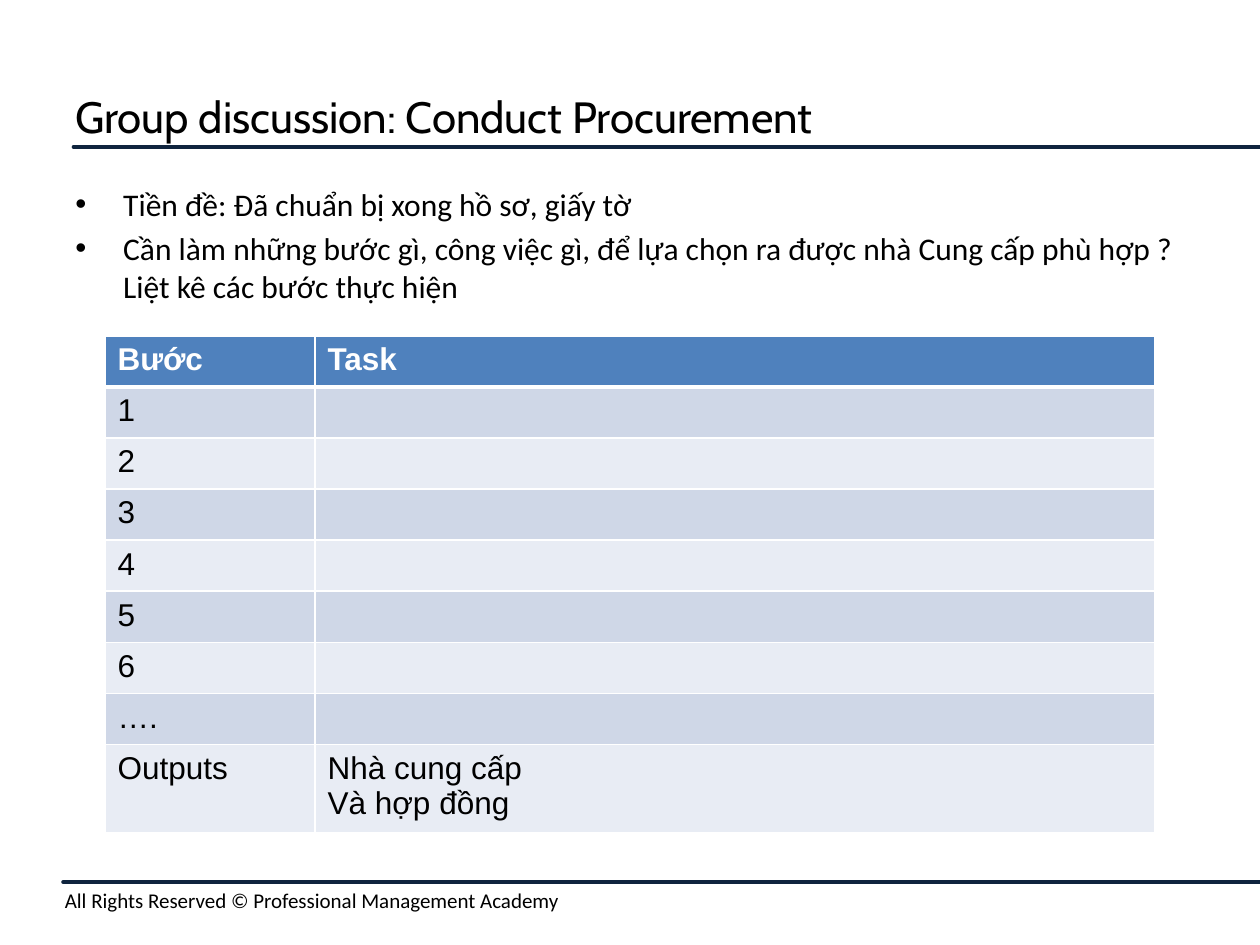
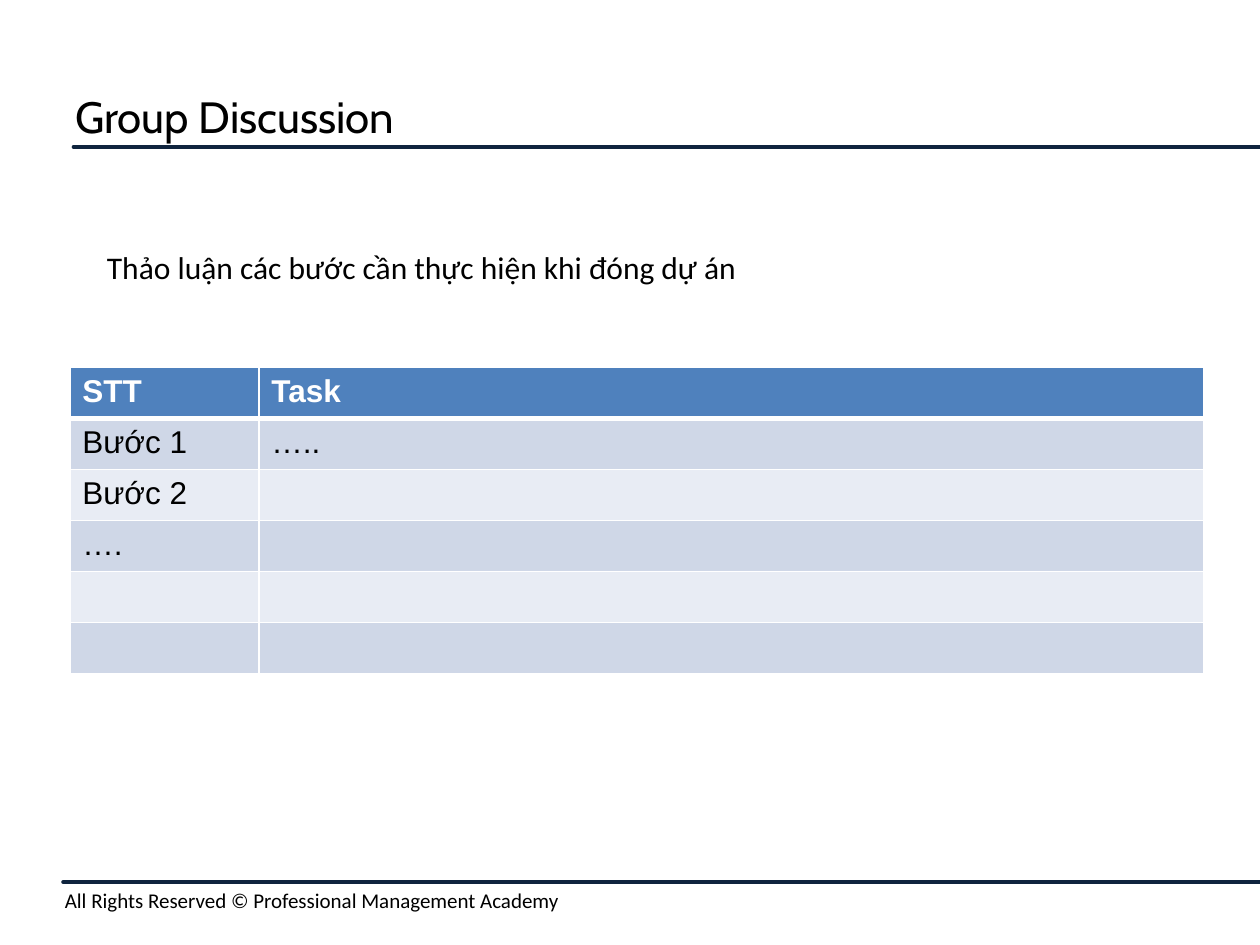
from dataclasses import dataclass

from lxml import etree
from pptx import Presentation
from pptx import util as u
from pptx.dml.color import RGBColor
from pptx.enum import shapes, text
from pptx.oxml.ns import qn

COLORS = {
    "ink": "000000",
    "rule": "0F243E",
    "paper": "FFFFFF",
    "header": "4F81BD",
    "odd_row": "CFD7E7",
    "even_row": "E8ECF4",
}
WIDTH, HEIGHT = u.Inches(10), u.Inches(7.5)
GRID_COLUMNS, GRID_ROWS = 120, 90
STEP_HEIGHT = int(HEIGHT / 18.5)
HANGING = u.Inches(0.38)
FOOTER = "All Rights Reserved © Professional Management Academy"


@dataclass(frozen=True)
class Area:
    column: float
    row: float
    columns: float
    rows: float


@dataclass(frozen=True)
class Style:
    font: str
    size: float
    color: str = "ink"
    bold: bool = False


@dataclass(frozen=True)
class Note:
    area: Area
    lines: tuple[str, ...]
    style: Style
    bulleted: bool = False
    anchor: text.MSO_ANCHOR = text.MSO_ANCHOR.TOP


@dataclass(frozen=True)
class StepTable:
    column: float
    row: float
    widths: tuple[int, int]
    steps: tuple[tuple[str, str], ...]


@dataclass(frozen=True)
class Discussion:
    title: str
    prompt: Note
    table: StepTable


TITLE = Style("Cabin", 25)
BODY = Style("Calibri", 18)
SMALL = Style("Calibri", 12)
HEAD_CELL = Style("Arial", 18, "paper", True)
STEP_CELL = Style("Arial", 18)
TITLE_AREA = Area(6, 6, 108, 10)
FOOTER_AREA = Area(5, 83.9, 115, 3.6)
RULES = ((7, 14), (6, 84))

DISCUSSIONS = (
    Discussion(
        "Group discussion: Conduct Procurement",
        Note(
            Area(6, 17, 108, 14),
            (
                "Tiền đề: Đã chuẩn bị xong hồ sơ, giấy tờ",
                "Cần làm những bước gì, công việc gì, để lựa chọn ra được nhà "
                "Cung cấp phù hợp ? Liệt kê các bước thực hiện",
            ),
            BODY,
            bulleted=True,
        ),
        StepTable(
            10, 32, (20, 80),
            (
                ("Bước", "Task"),
                *((str(number), "") for number in range(1, 7)),
                ("….", ""),
                ("Outputs", "Nhà cung cấp\nVà hợp đồng"),
            ),
        ),
    ),
    Discussion(
        "Group Discussion",
        Note(
            Area(9, 23, 70, 4.8),
            ("Thảo luận các bước cần thực hiện khi đóng dự án",),
            BODY,
        ),
        StepTable(
            6.65, 35, (18, 90),
            (
                ("STT", "Task"),
                ("Bước 1", "….."),
                ("Bước 2", ""),
                ("….", ""),
                ("", ""),
                ("", ""),
            ),
        ),
    ),
)


def across(columns: float) -> int:
    return int(WIDTH * columns / GRID_COLUMNS)


def down(rows: float) -> int:
    return int(HEIGHT * rows / GRID_ROWS)


def rgb(name: str) -> RGBColor:
    return RGBColor.from_string(COLORS[name])


def add_run(paragraph, words: str, style: Style) -> None:
    run = paragraph.add_run()
    run.text = words
    run.font.name = style.font
    run.font.size = u.Pt(style.size)
    run.font.bold = style.bold
    run.font.color.rgb = rgb(style.color)


def add_bullet(paragraph) -> None:
    properties = paragraph._p.get_or_add_pPr()
    properties.set("marL", str(HANGING))
    properties.set("indent", str(-HANGING))
    etree.SubElement(properties, qn("a:buFont"), typeface="Arial")
    etree.SubElement(properties, qn("a:buChar"), char="•")


def write_lines(frame, lines: tuple[str, ...], style: Style, bulleted: bool = False) -> None:
    for index, line in enumerate(lines):
        paragraph = frame.add_paragraph() if index else frame.paragraphs[0]
        if bulleted:
            add_bullet(paragraph)
            if index:
                paragraph.space_before = u.Pt(3.6)
        if line:
            add_run(paragraph, line, style)


def draw_note(slide, note: Note) -> None:
    area = note.area
    frame = slide.shapes.add_textbox(
        across(area.column), down(area.row), across(area.columns), down(area.rows)
    ).text_frame
    frame.word_wrap = True
    frame.vertical_anchor = note.anchor
    write_lines(frame, note.lines, note.style, note.bulleted)


def draw_rule(slide, column: float, row: float) -> None:
    rule = slide.shapes.add_connector(
        shapes.MSO_CONNECTOR.STRAIGHT, across(column), down(row), WIDTH, down(row)
    )
    rule.line.color.rgb = rgb("rule")
    rule.line.width = u.Pt(2)
    properties = rule._element.spPr
    properties.find(qn("a:ln")).set("cap", "rnd")
    etree.SubElement(properties, qn("a:effectLst"))


def set_borders(cell, top: float, bottom: float) -> None:
    properties = cell._tc.get_or_add_tcPr()
    for side, points in (("L", 1), ("R", 1), ("T", top), ("B", bottom)):
        border = etree.SubElement(properties, qn(f"a:ln{side}"), w=str(u.Pt(points)))
        fill = etree.SubElement(border, qn("a:solidFill"))
        etree.SubElement(fill, qn("a:srgbClr"), val=COLORS["paper"])


def draw_table(slide, plan: StepTable) -> None:
    count = len(plan.steps)
    table = slide.shapes.add_table(
        count, len(plan.widths), across(plan.column), down(plan.row),
        across(sum(plan.widths)), STEP_HEIGHT * count,
    ).table
    for column, width in zip(table.columns, plan.widths):
        column.width = across(width)
    for row, step in enumerate(plan.steps):
        band = "header" if row == 0 else ("even_row", "odd_row")[row % 2]
        style = STEP_CELL if row else HEAD_CELL
        for column, words in enumerate(step):
            cell = table.cell(row, column)
            set_borders(cell, 3 if row == 1 else 1, 1 if row else 3)
            cell.fill.solid()
            cell.fill.fore_color.rgb = rgb(band)
            write_lines(cell.text_frame, tuple(words.split("\n")), style)


def draw_discussion(deck, discussion: Discussion) -> None:
    slide = deck.slides.add_slide(deck.slide_layouts[6])
    for column, row in RULES:
        draw_rule(slide, column, row)
    draw_note(slide, Note(FOOTER_AREA, (FOOTER,), SMALL))
    draw_note(
        slide,
        Note(TITLE_AREA, (discussion.title,), TITLE, anchor=text.MSO_ANCHOR.MIDDLE),
    )
    draw_note(slide, discussion.prompt)
    draw_table(slide, discussion.table)


def main() -> None:
    deck = Presentation()
    deck.slide_width, deck.slide_height = WIDTH, HEIGHT
    for discussion in DISCUSSIONS:
        draw_discussion(deck, discussion)
    deck.save("out.pptx")


if __name__ == "__main__":
    main()
